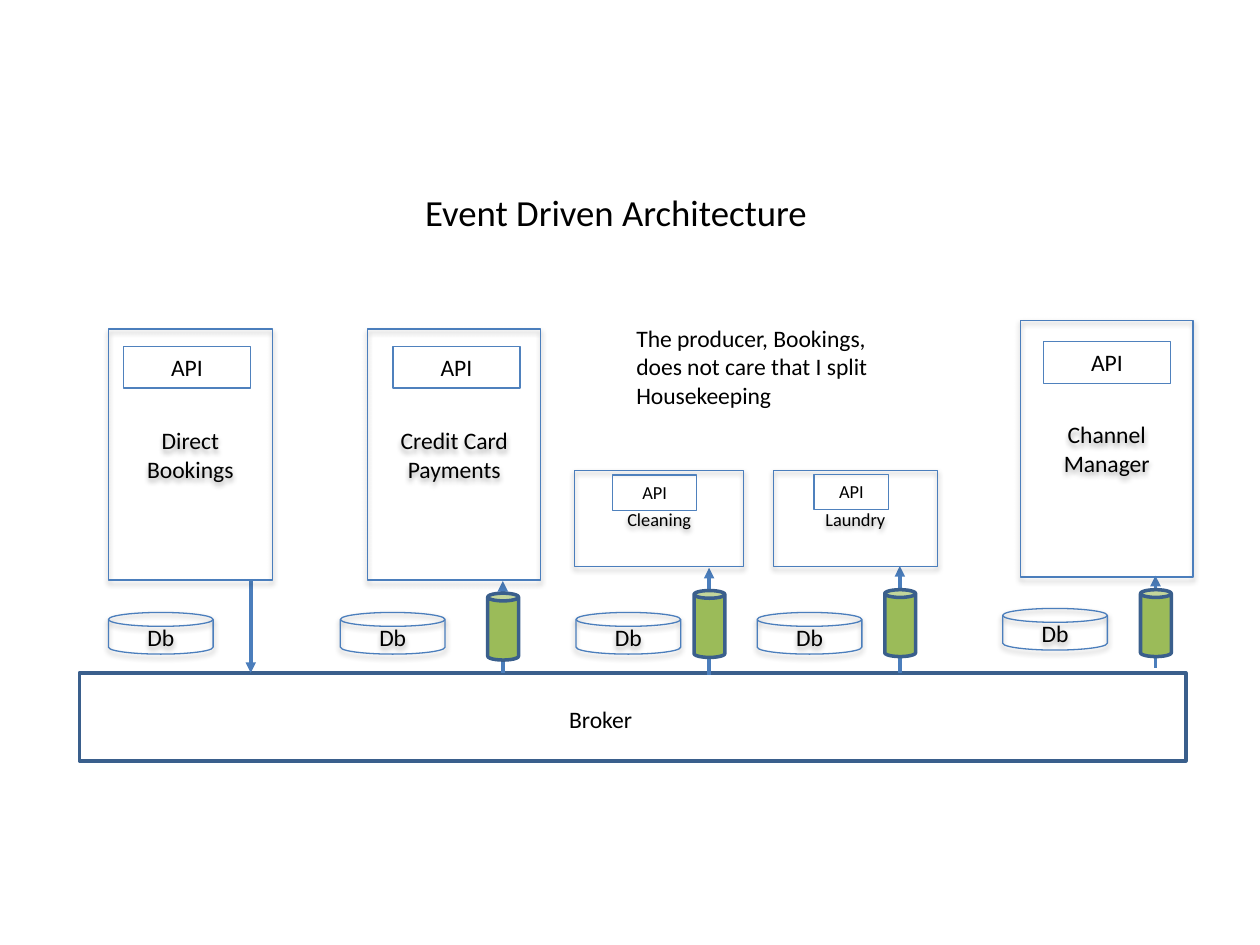
import lxml.etree
import pptx
import pptx.dml.color
import pptx.enum.dml
import pptx.enum.shapes
import pptx.enum.text
import pptx.oxml
import pptx.oxml.ns
import pptx.util

Pt = pptx.util.Pt
SHAPE = pptx.enum.shapes.MSO_SHAPE
ALIGN = pptx.enum.text.PP_ALIGN
ANCHOR = pptx.enum.text.MSO_ANCHOR
BLACK = pptx.dml.color.RGBColor(0x00, 0x00, 0x00)
BLUE = pptx.dml.color.RGBColor(0x4B, 0x7E, 0xBC)
API_BLUE = pptx.dml.color.RGBColor(0x4F, 0x81, 0xBD)
DARK_BLUE = pptx.dml.color.RGBColor(0x3A, 0x5F, 0x8C)
GREEN = pptx.dml.color.RGBColor(0x9B, 0xBB, 0x59)
SHADOW = (
    f'<a:effectLst {pptx.oxml.ns.nsdecls("a")}>'
    '<a:outerShdw blurRad="39400" dist="22900" dir="5400000" rotWithShape="0">'
    '<a:srgbClr val="000000"><a:alpha val="35000"/></a:srgbClr>'
    '</a:outerShdw></a:effectLst>'
)

presentation = pptx.Presentation()
presentation.slide_width = Pt(720)
presentation.slide_height = Pt(540)
slide = presentation.slides.add_slide(presentation.slide_layouts[5])


def write(shape, text, size, align, anchor):
    frame = shape.text_frame
    frame.text = text
    frame.word_wrap = True
    frame.vertical_anchor = anchor
    font_format = {"name": "Calibri", "size": Pt(size)}
    for paragraph in frame.paragraphs:
        paragraph.alignment = align
        for name, value in font_format.items():
            setattr(paragraph.font, name, value)
        paragraph.font.color.rgb = BLACK


def add_box(kind, box, line, width=0.75, fill=None, shadow=False):
    shape = slide.shapes.add_shape(kind, *map(Pt, box))
    shape.shadow.inherit = False
    if shadow:
        properties = shape.element.spPr
        properties.remove(properties.find(pptx.oxml.ns.qn("a:effectLst")))
        properties.append(pptx.oxml.parse_xml(SHADOW))
    if fill is None:
        shape.fill.background()
    else:
        shape.fill.solid()
        shape.fill.fore_color.rgb = fill
    shape.line.color.rgb = line
    shape.line.width = Pt(width)
    return shape


# Title
title = slide.shapes.title
title_format = {"left": Pt(156.2), "top": Pt(105.1), "width": Pt(391.7), "height": Pt(32.4)}
for name, value in title_format.items():
    setattr(title, name, value)
write(title, "Event Driven Architecture", 21, ALIGN.CENTER, ANCHOR.TOP)

# Broker
add_box(SHAPE.RECTANGLE, (45.4, 384.5, 632.2, 50.4), DARK_BLUE, 2)
broker_label = slide.shapes.add_textbox(Pt(318.2), Pt(399), Pt(51), Pt(23.8))
write(broker_label, "Broker", 13.5, ALIGN.LEFT, ANCHOR.TOP)
broker_label.text_frame.word_wrap = False

# Services: name, text size, box, API box, database corner,
# arrow (x, start, end), queue top
services = [
    ("Direct\nBookings", 13.5, (62, 188, 93.6, 143.5), (70.5, 198, 72.7, 23.8),
     (62, 350), (143.3, 332, 384.5), None),
    ("Credit Card\nPayments", 13.5, (210.2, 188, 98.8, 143.5), (224.5, 198, 72.7, 23.8),
     (194.5, 350), (287.3, 384.5, 332), 339),
    ("Cleaning", 10.5, (328.3, 269, 96.7, 54.8), (350, 271.5, 48.2, 20.2),
     (329.2, 350), (405.2, 385.5, 324.5), 337.5),
    ("Laundry", 10.5, (442, 269, 93.6, 54.8), (465.2, 271, 42.7, 20.2),
     (432.7, 350), (514.2, 384.5, 323.5), 337),
    ("Channel Manager", 13.5, (583, 183, 98.8, 146.7), (596.2, 195.2, 72.7, 23.8),
     (573, 347.7), (660.3, 381.5, 329), 337),
]
for service, size, box, api_box, database, (x, start, end), queue_top in services:
    # Arrow between the service and the broker
    arrow = slide.shapes.add_connector(
        pptx.enum.shapes.MSO_CONNECTOR.STRAIGHT, Pt(x), Pt(start), Pt(x), Pt(end))
    arrow.line.color.rgb = BLUE
    arrow.line.width = Pt(2)
    lxml.etree.SubElement(arrow.line._get_or_add_ln(),
                          pptx.oxml.ns.qn("a:tailEnd"), type="triangle")
    lxml.etree.SubElement(arrow._element.spPr, pptx.oxml.ns.qn("a:effectLst"))

    # Service with its API and database
    service_box = add_box(SHAPE.RECTANGLE, box, BLUE, shadow=True)
    write(service_box, service, size, ALIGN.CENTER, ANCHOR.MIDDLE)
    api = add_box(SHAPE.RECTANGLE, api_box, API_BLUE)
    write(api, "API", size, ALIGN.CENTER, ANCHOR.TOP)
    disk = add_box(SHAPE.FLOWCHART_MAGNETIC_DISK, (*database, 59.8, 23.8), BLUE, shadow=True)
    write(disk, "Db", 13.5, ALIGN.CENTER, ANCHOR.MIDDLE)

    # Queue in front of a consumer
    if queue_top is not None:
        add_box(SHAPE.CAN, (x - 8.6, queue_top, 17.6, 38.2), DARK_BLUE, 2, GREEN)

# Note on the split
note = slide.shapes.add_textbox(Pt(356.5), Pt(181.5), Pt(171.4), Pt(56.2))
write(note, "The producer, Bookings, does not care that I split Housekeeping",
      13.5, ALIGN.LEFT, ANCHOR.TOP)

presentation.save("out.pptx")
